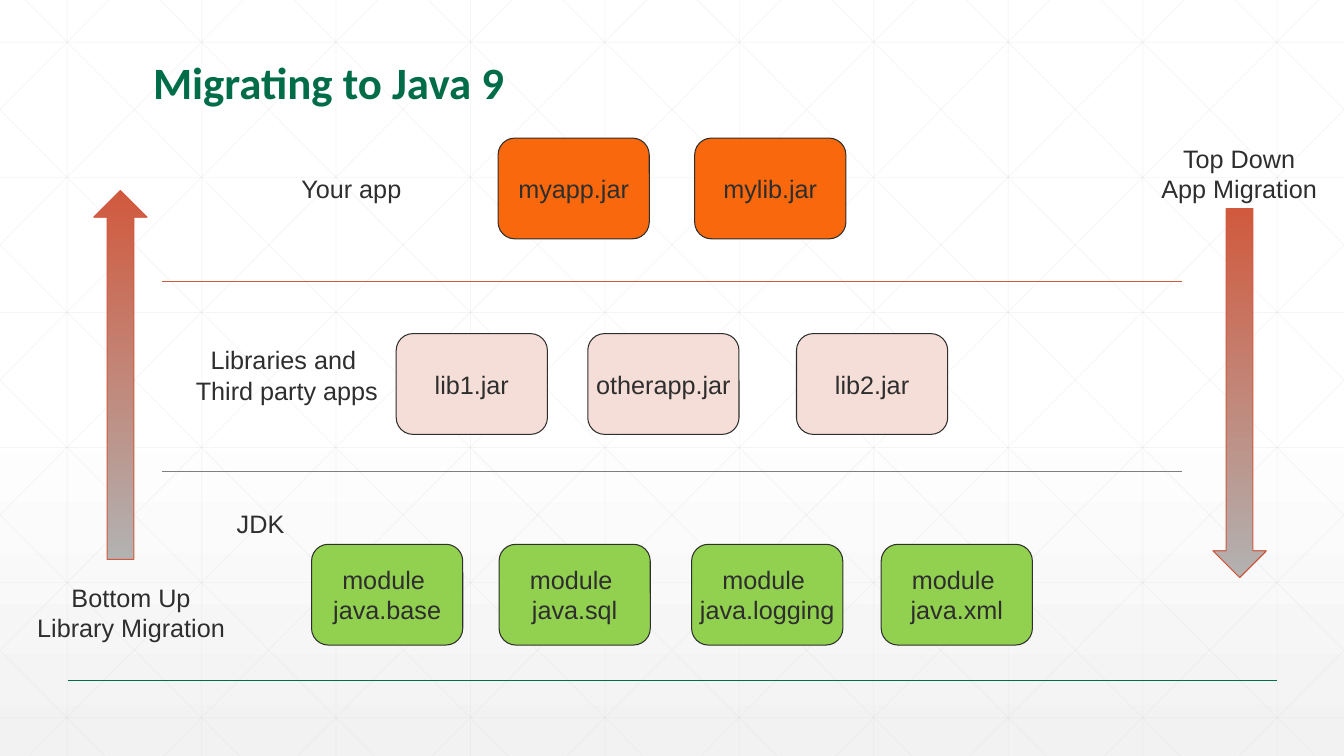
"""Build the slide on bottom-up and top-down migration to Java 9."""
from lxml import etree
from pptx import Presentation
from pptx.dml.color import RGBColor
from pptx.enum.shapes import MSO_CONNECTOR, MSO_SHAPE
from pptx.enum.text import MSO_ANCHOR, PP_ALIGN
from pptx.oxml.ns import qn
from pptx.util import Inches, Pt

STRAIGHT = MSO_CONNECTOR.STRAIGHT
ROUNDED = MSO_SHAPE.FLOWCHART_ALTERNATE_PROCESS
UP_ARROW, DOWN_ARROW = MSO_SHAPE.UP_ARROW, MSO_SHAPE.DOWN_ARROW
LEFT, CENTER = PP_ALIGN.LEFT, PP_ALIGN.CENTER
TOP, MIDDLE, BOTTOM = MSO_ANCHOR.TOP, MSO_ANCHOR.MIDDLE, MSO_ANCHOR.BOTTOM

WHITE = RGBColor(0xFF, 0xFF, 0xFF)
PALE_GRAY = RGBColor(0xF2, 0xF2, 0xF2)
GRID_GRAY = RGBColor(0xD9, 0xD9, 0xD9)
ARROW_GRAY = RGBColor(0xB2, 0xB2, 0xB2)
RULE_GRAY = RGBColor(0x7F, 0x7F, 0x7F)
INK = RGBColor(0x2D, 0x2E, 0x2D)
DARK_GREEN = RGBColor(0x01, 0x6C, 0x48)
RED = RGBColor(0xD1, 0x5A, 0x3E)
ORANGE = RGBColor(0xF9, 0x68, 0x0D)
PINK = RGBColor(0xF6, 0xDE, 0xD8)
GREEN = RGBColor(0x92, 0xD0, 0x50)

WIDTH, HEIGHT = 13.33, 7.5
GRID_STEP = 4 / 3
DIAGONAL_RUN = 7.46
BODY = {"size": Pt(18), "name": "Arial"}
HEADING = {"size": Pt(32), "name": "Calibri", "bold": True}

TIERS = [
    (1.37, ORANGE, [(4.94, "myapp.jar"), (6.89, "mylib.jar")]),
    (3.31, PINK, [(3.93, "lib1.jar"), (5.83, "otherapp.jar"), (7.9, "lib2.jar")]),
    (5.4, GREEN, [(3.09, "module \njava.base"), (4.95, "module \njava.sql"),
                  (6.86, "module \njava.logging"), (8.74, "module \njava.xml")]),
]
LABELS = [
    ("Bottom Up\nLibrary Migration", (0.27, 5.73, 2.06, 0.7), CENTER),
    ("Top Down\nApp Migration", (11.42, 1.37, 1.74, 0.7), CENTER),
    ("Your app", (2.89, 1.67, 1.59, 0.4), LEFT),
    ("Libraries and \nThird party apps", (1.84, 3.37, 2.01, 0.7), CENTER),
    ("JDK", (2.25, 4.99, 0.67, 0.4), LEFT),
]


def write_text(shape, text, font, color, align, anchor):
    """Fill a shape with one paragraph per line of text."""
    frame = shape.text_frame
    frame.word_wrap = False
    frame.vertical_anchor = anchor
    frame.text = text
    for para in frame.paragraphs:
        para.alignment = align
        for span in para.runs:
            span.font.color.rgb = color
            for key, value in font.items():
                setattr(span.font, key, value)


def add_label(page, text, place, align, font=BODY, color=INK, anchor=TOP):
    """Add a text box and return it."""
    box = page.shapes.add_textbox(*map(Inches, place))
    write_text(box, text, font, color, align, anchor)
    return box


def add_rule(page, start, end, color, weight, opacity=100):
    """Draw a straight line between two points."""
    rule = page.shapes.add_connector(STRAIGHT, *map(Inches, (*start, *end)))
    rule.line.color.rgb = color
    rule.line.width = Pt(weight)
    properties = rule._element.spPr
    etree.SubElement(properties, qn("a:effectLst"))
    if opacity < 100:
        tint = properties.find(".//" + qn("a:srgbClr"))
        etree.SubElement(tint, qn("a:alpha")).set("val", str(opacity * 1000))


def add_outlined(page, kind, place, line_color):
    """Add a preset shape with a thin outline and no shadow."""
    shape = page.shapes.add_shape(kind, *map(Inches, place))
    shape.shadow.inherit = False
    shape.line.color.rgb = line_color
    shape.line.width = Pt(0.75)
    return shape


def add_jar(page, left, top, text, color):
    """Add a rounded box naming a jar or module."""
    jar = add_outlined(page, ROUNDED, (left, top, 1.5, 1), INK)
    jar.fill.solid()
    jar.fill.fore_color.rgb = color
    write_text(jar, text, BODY, INK, CENTER, MIDDLE)


def fade_down(fill, stops):
    """Apply a top-to-bottom gradient with two stops."""
    fill.gradient()
    fill.gradient_angle = 270
    for stop, (position, color) in zip(fill.gradient_stops, stops):
        stop.position = position
        stop.color.rgb = color


def add_arrow(page, kind, left, top):
    """Add a tall block arrow fading from red to gray."""
    arrow = add_outlined(page, kind, (left, top, 0.53, 3.66), RED)
    fade_down(arrow.fill, [(0, RED), (1, ARROW_GRAY)])


def add_grid(page):
    """Draw the faint square and diagonal background grid."""
    lines = []
    for column in range(10):
        x = GRID_STEP * (column + 0.5)
        lines.append(((x, 0), (x, HEIGHT)))
    for row in range(6):
        y = 0.42 + 1.34 * row
        lines.append(((0, y), (WIDTH, y)))
    slope = HEIGHT / DIAGONAL_RUN
    for step in range(-5, 10):
        origin = 0.25 + GRID_STEP * step
        left, right = max(0, origin), min(WIDTH, origin + DIAGONAL_RUN)
        top, bottom = (left - origin) * slope, (right - origin) * slope
        lines.append(((left, top), (right, bottom)))
        lines.append(((WIDTH - left, top), (WIDTH - right, bottom)))
    for start, end in lines:
        add_rule(page, start, end, GRID_GRAY, 0.5, opacity=25)


def main():
    """Build and save the deck."""
    deck = Presentation()
    deck.slide_width, deck.slide_height = Inches(WIDTH), Inches(HEIGHT)
    page = deck.slides.add_slide(deck.slide_layouts[6])
    fade_down(page.background.fill, [(0.53, WHITE), (1, PALE_GRAY)])
    add_grid(page)
    add_rule(page, (0.67, 6.75), (12.67, 6.75), DARK_GREEN, 1)
    title = add_label(page, "Migrating to Java 9", (1.42, 0.19, 10.5, 0.94),
                      LEFT, HEADING, DARK_GREEN, BOTTOM)
    title.text_frame.word_wrap = True
    title.text_frame.paragraphs[0].line_spacing = 0.9
    for top, color, jars in TIERS:
        for left, text in jars:
            add_jar(page, left, top, text, color)
    for y, color in ((2.79, RED), (4.68, RULE_GRAY)):
        add_rule(page, (1.61, y), (11.72, y), color, 0.75)
    add_arrow(page, UP_ARROW, 0.93, 1.89)
    add_arrow(page, DOWN_ARROW, 12.03, 2.07)
    for text, place, align in LABELS:
        add_label(page, text, place, align)
    deck.save("out.pptx")


if __name__ == "__main__":
    main()
